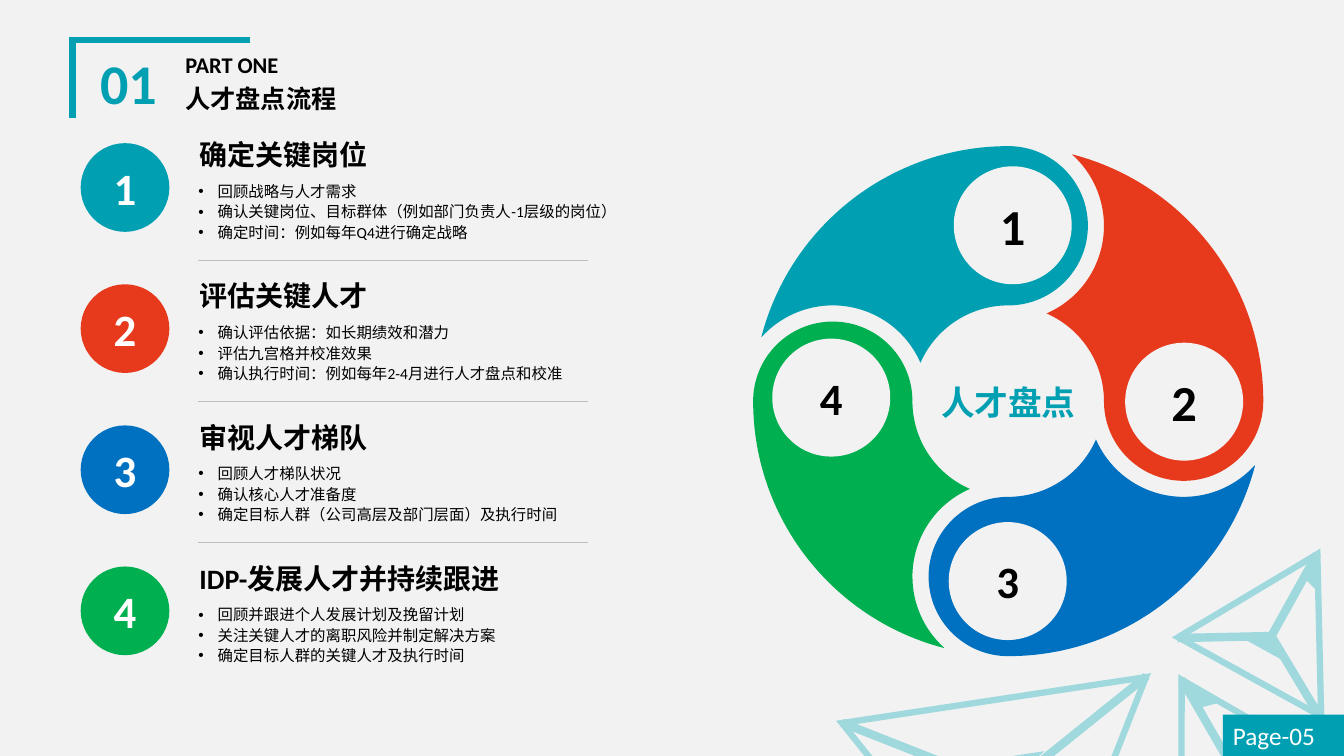
import math

import pptx
import pptx.dml.color
import pptx.enum.shapes
import pptx.enum.text
import pptx.oxml.ns
import pptx.util
from lxml import etree

RGBColor = pptx.dml.color.RGBColor
Inches = pptx.util.Inches
Pt = pptx.util.Pt
MSO = pptx.enum.shapes.MSO_SHAPE
ANCHOR = pptx.enum.text.MSO_ANCHOR
ALIGN = pptx.enum.text.PP_ALIGN
qn = pptx.oxml.ns.qn

TEAL = RGBColor(0x00, 0x9F, 0xB1)
RED = RGBColor(0xE7, 0x3A, 0x1C)
BLUE = RGBColor(0x00, 0x70, 0xC0)
GREEN = RGBColor(0x00, 0xB0, 0x50)
PALE = RGBColor(0x9F, 0xD9, 0xDE)
PAPER = RGBColor(0xF2, 0xF2, 0xF2)
RULE = RGBColor(0xBF, 0xBF, 0xBF)
BLACK = RGBColor(0x00, 0x00, 0x00)
WHITE = RGBColor(0xFF, 0xFF, 0xFF)

STEPS = [
    ("确定关键岗位", TEAL, ["回顾战略与人才需求",
                     "确认关键岗位、目标群体（例如部门负责人-1层级的岗位）",
                     "确定时间：例如每年Q4进行确定战略"]),
    ("评估关键人才", RED, ["确认评估依据：如长期绩效和潜力",
                    "评估九宫格并校准效果",
                    "确认执行时间：例如每年2-4月进行人才盘点和校准"]),
    ("审视人才梯队", BLUE, ["回顾人才梯队状况",
                     "确认核心人才准备度",
                     "确定目标人群（公司高层及部门层面）及执行时间"]),
    ("IDP-发展人才并持续跟进", GREEN, ["回顾并跟进个人发展计划及挽留计划",
                              "关注关键人才的离职风险并制定解决方案",
                              "确定目标人群的关键人才及执行时间"]),
]
STEP_PITCH = 1.4
DISCS = [(9.46, 1.65, 36), (11.16, 3.4, 36), (9.41, 5.18, 32), (7.66, 3.36, 32)]
HUB = (10, 3.98)
PETAL_ARCS = [
    (0, 0, 2.53, 194.6, 270),
    (0, -1.74, 0.79, 270, 360),
    (0, -1.74, 0.79, 360, 450),
    (0, 0, 0.95, 270, 203.6),
    (-1.74, 0, 0.95, -23.6, -90),
    (-1.74, 0, 0.95, -90, -138),
]


def petal_points(turn):
    c, s = math.cos(math.radians(turn)), math.sin(math.radians(turn))
    points = []
    for cx, cy, radius, start, end in PETAL_ARCS:
        a, b = math.radians(start), math.radians(end)
        k = 4 / 3 * math.tan((b - a) / 4)
        arc = [(math.cos(a), math.sin(a)),
               (math.cos(a) - k * math.sin(a), math.sin(a) + k * math.cos(a)),
               (math.cos(b) + k * math.sin(b), math.sin(b) - k * math.cos(b)),
               (math.cos(b), math.sin(b))]
        for u, v in arc[1:] if points else arc:
            x, y = cx + radius * u, cy + radius * v
            points.append((HUB[0] + x * c - y * s, HUB[1] + x * s + y * c))
    return points


def write(sp, text, size=18, color=BLACK, bold=True, align=ALIGN.LEFT,
          anchor=ANCHOR.MIDDLE, spacing=None, bullet=False, wrap=True):
    tf = sp.text_frame
    tf.word_wrap = wrap
    tf.vertical_anchor = anchor
    for i, line in enumerate([text] if isinstance(text, str) else text):
        p = tf.add_paragraph() if i else tf.paragraphs[0]
        p.alignment = align
        if spacing:
            p.line_spacing = spacing
        if bullet:
            pPr = p._p.get_or_add_pPr()
            pPr.set("marL", str(Inches(0.19)))
            pPr.set("indent", str(-Inches(0.19)))
            etree.SubElement(pPr, qn("a:buFont")).set("typeface", "Arial")
            etree.SubElement(pPr, qn("a:buChar")).set("char", "•")
        r = p.add_run()
        r.text = line
        r.font.name = "Calibri"
        r.font.size = Pt(size)
        r.font.bold = bold
        r.font.color.rgb = color


class Deck:
    def __init__(self):
        self.prs = pptx.Presentation()
        self.prs.slide_width = Inches(13.33)
        self.prs.slide_height = Inches(7.5)
        self.s = self.prs.slides.add_slide(self.prs.slide_layouts[6])
        self.s.background.fill.solid()
        self.s.background.fill.fore_color.rgb = PAPER

    def paint(self, sp, fill, line, width):
        sp.shadow.inherit = False
        if fill is None:
            sp.fill.background()
        else:
            sp.fill.solid()
            sp.fill.fore_color.rgb = fill
        if line is None:
            sp.line.fill.background()
        else:
            sp.line.color.rgb = line
            sp.line.width = Pt(width)
            ln = sp._element.spPr.find(qn("a:ln"))
            etree.SubElement(ln, qn("a:miter")).set("lim", "800000")
        return sp

    def shape(self, kind, x, y, w, h, fill, line=None, width=1, turn=0):
        sp = self.s.shapes.add_shape(kind, Inches(x), Inches(y), Inches(w), Inches(h))
        sp.rotation = turn
        return self.paint(sp, fill, line, width)

    def outline(self, points, fill=None, line=None, width=1, close=True):
        fb = self.s.shapes.build_freeform(
            Inches(points[0][0]), Inches(points[0][1]), scale=1.0)
        fb.add_line_segments([(Inches(x), Inches(y)) for x, y in points[1:]], close=close)
        return self.paint(fb.convert_to_shape(), fill, line, width)

    def curve(self, points, fill):
        sp = self.outline(points, fill)
        steps = list(sp._element.iter(qn("a:lnTo")))
        for i in range(0, len(steps), 3):
            bez = etree.Element(qn("a:cubicBezTo"))
            steps[i].addprevious(bez)
            for step in steps[i:i + 3]:
                bez.append(step[0])
                step.getparent().remove(step)

    def line(self, x1, y1, x2, y2, color, width):
        cn = self.s.shapes.add_connector(
            pptx.enum.shapes.MSO_CONNECTOR.STRAIGHT,
            Inches(x1), Inches(y1), Inches(x2), Inches(y2))
        cn.line.color.rgb = color
        cn.line.width = Pt(width)
        etree.SubElement(cn._element.spPr, qn("a:effectLst"))

    def text(self, x, y, w, h, text, **fmt):
        sp = self.s.shapes.add_textbox(Inches(x), Inches(y), Inches(w), Inches(h))
        write(sp, text, **fmt)


def draw_triangles(d):
    tri = MSO.ISOSCELES_TRIANGLE
    d.shape(tri, 8.53, 6.93, 3.05, 2.63, PAPER, PALE, 4.5, 171.4)
    d.line(11.37, 6.71, 9.99, 7.82, PALE, 6)
    d.line(8.35, 7.17, 10, 7.82, PALE, 6)
    d.shape(tri, 9.57, 7.52, 0.79, 0.24, PALE, PALE, 1, 171.4)
    d.shape(tri, 11.16, 6.63, 1.97, 1.7, PAPER, PALE, 4.5, 330)
    d.line(11.72, 6.74, 12.28, 7.71, PALE, 6)
    d.outline([(11.92, 7.01), (12.07, 6.97), (11.81, 6.83)], PALE, PALE)
    d.shape(tri, 11.92, 5.41, 1.62, 1.39, PAPER, PALE, 4.5, 28.9)
    for x, y in [(13.06, 5.5), (11.68, 6.33), (13.09, 7.11)]:
        d.line(x, y, 12.61, 6.31, PALE, 6)
    d.shape(tri, 12.36, 6.32, 0.42, 0.13, PALE, PALE, 1, 28.9)
    d.outline([(12.96, 5.75), (13.05, 5.84), (13.04, 5.59)], PALE, PALE)


def draw_header(d):
    d.outline([(0.72, 1.17), (0.72, 0.4), (2.48, 0.4)], line=TEAL, width=4.5, close=False)
    d.text(0.81, 0.49, 0.93, 0.73, "01", size=40, color=TEAL, align=ALIGN.CENTER, spacing=0.9)
    d.text(1.74, 0.49, 2.67, 0.34, "PART ONE", size=16, spacing=0.9)
    d.text(1.74, 0.78, 5.85, 0.44, "人才盘点流程", spacing=0.9)


def draw_steps(d):
    for i, (title, color, points) in enumerate(STEPS):
        top = 1.33 + i * STEP_PITCH
        number = str(i + 1)
        badge = d.shape(MSO.OVAL, 0.8, top + 0.09, 0.88, 0.88, color)
        write(badge, number, size=32, color=WHITE, align=ALIGN.CENTER)
        d.text(1.87, top + 0.41, 4.8, 0.71, points, size=11, bold=False,
               anchor=ANCHOR.TOP, spacing=1.1, bullet=True)
        d.text(1.88, top, 4.8, 0.42, title, size=20, anchor=ANCHOR.BOTTOM)
        if i < len(STEPS) - 1:
            d.line(1.96, top + 1.25, 5.83, top + 1.25, RULE, 0.25)
        d.curve(petal_points(90 * i), color)
        x, y, size = DISCS[i]
        disc = d.shape(MSO.OVAL, x, y, 1.17, 1.17, PAPER)
        write(disc, number, size=size, align=ALIGN.CENTER)
    d.text(9.03, 3.67, 1.94, 0.64, "人才盘点", size=24, color=TEAL, align=ALIGN.CENTER)


def main():
    d = Deck()
    draw_triangles(d)
    draw_header(d)
    draw_steps(d)
    tab = d.shape(MSO.RECTANGLE, 12.13, 7.09, 1.2, 0.41, TEAL)
    write(tab, "Page-05", color=WHITE, bold=False, wrap=False)
    d.prs.save("out.pptx")


if __name__ == "__main__":
    main()
